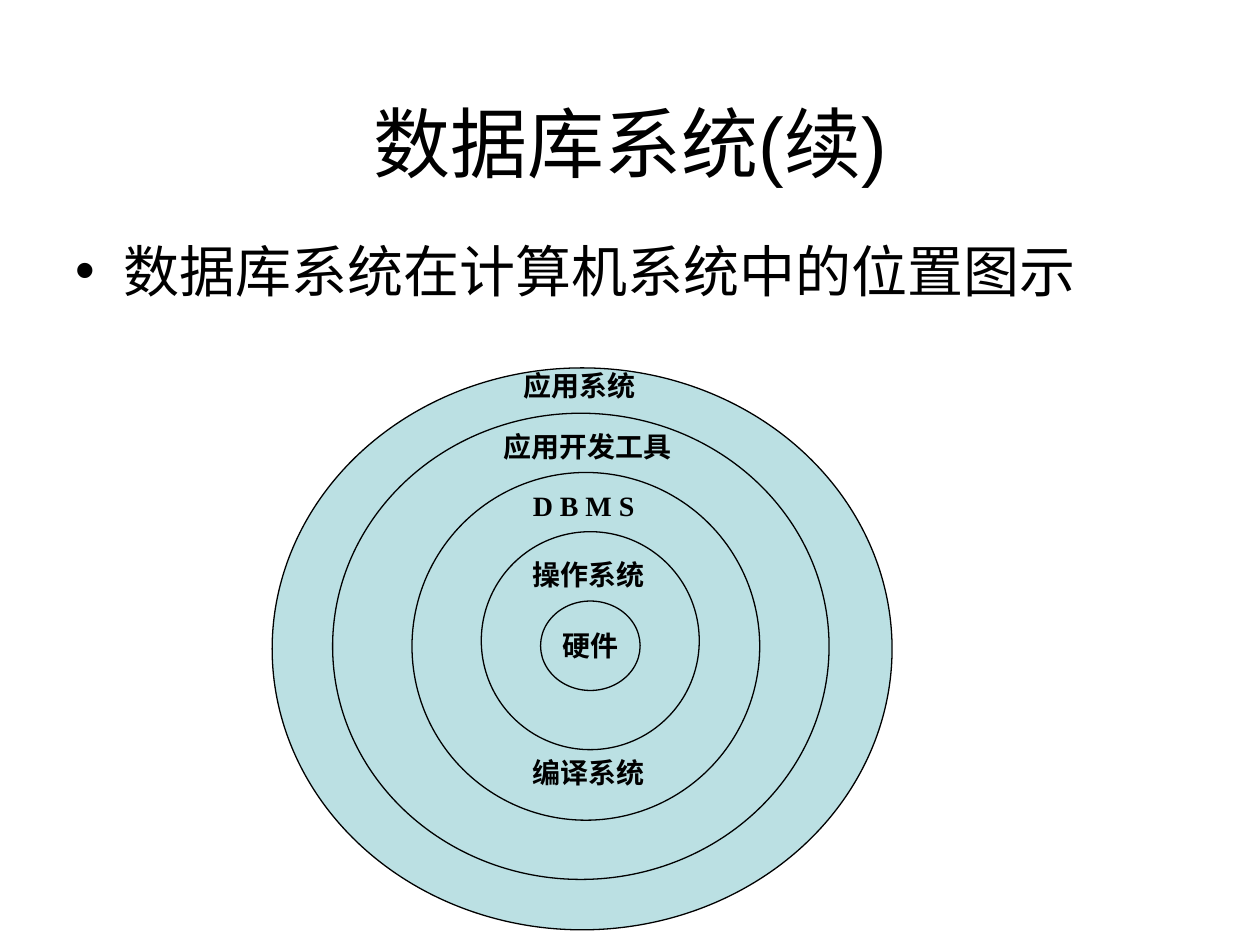
import dataclasses

import pptx
import pptx.dml.color
import pptx.enum.shapes
import pptx.enum.text
import pptx.oxml.ns
import pptx.util
from lxml import etree

COLS, ROWS = 100, 75
WIDE, HIGH = pptx.util.Inches(10), pptx.util.Inches(7.5)
HUES = {"ink": "000000", "ring": "BBE0E3"}
ALIGN = pptx.enum.text.PP_ALIGN
ANCHOR = pptx.enum.text.MSO_ANCHOR
FIT = pptx.enum.text.MSO_AUTO_SIZE


@dataclasses.dataclass(frozen=True)
class Area:
    """A place on the grid, in columns and rows."""
    col: float
    row: float
    cols: float
    rows: float

    def box(self) -> tuple[int, int, int, int]:
        return (round(self.col * WIDE / COLS), round(self.row * HIGH / ROWS),
                round(self.cols * WIDE / COLS), round(self.rows * HIGH / ROWS))


@dataclasses.dataclass(frozen=True)
class Label:
    text: str
    area: Area


RINGS = [
    Area(21.6, 29.2, 49.2, 44.6),
    Area(26.4, 32.8, 39.4, 37),
    Area(32.7, 37.5, 27.6, 27.6),
    Area(38.2, 42.2, 17.3, 17.3),
    Area(42.9, 47.7, 7.9, 7.1),
]
LABELS = [
    Label("应用系统", Area(40.6, 28.8, 11, 3.7)),
    Label("应用开发工具", Area(39, 33.6, 17.3, 3.7)),
    Label("D B M S", Area(41.3, 38.3, 11.8, 3.7)),
    Label("操作系统", Area(41.3, 43.8, 11.8, 3.7)),
    Label("编译系统", Area(41.3, 59.5, 11.8, 3.7)),
]


def tint(name: str) -> pptx.dml.color.RGBColor:
    return pptx.dml.color.RGBColor.from_string(HUES[name])


def write(shape, text: str, size: int, face: str, bold: bool, align, anchor):
    """Fill the first paragraph of a shape and return it."""
    frame = shape.text_frame
    frame.vertical_anchor = anchor
    para = frame.paragraphs[0]
    para.alignment = align
    para.space_before = pptx.util.Pt(0)
    run = para.add_run()
    run.text = text
    run.font.size = pptx.util.Pt(size)
    run.font.name = face
    run.font.bold = bold
    run.font.color.rgb = tint("ink")
    return para


def mark(shape, text: str, align, anchor) -> None:
    """Write the small bold text of the diagram."""
    write(shape, text, 16, "Times New Roman", True, align, anchor)


def head(shape, area: Area, text: str, size: int, align, anchor):
    """Move a placeholder and write its text."""
    shape.left, shape.top, shape.width, shape.height = area.box()
    shape.text_frame.auto_size = FIT.NONE
    return write(shape, text, size, "Arial", False, align, anchor)


def bullet(para) -> None:
    props = para._p.get_or_add_pPr()
    hang = pptx.util.Inches(0.38)
    props.set("marL", str(hang))
    props.set("indent", str(-hang))
    name = pptx.oxml.ns.qn
    hue = etree.SubElement(props, name("a:buClr"))
    etree.SubElement(hue, name("a:srgbClr"), val=HUES["ink"])
    etree.SubElement(props, name("a:buFont"), typeface="Arial")
    etree.SubElement(props, name("a:buChar"), char="•")


def ring(slide, area: Area):
    shape = slide.shapes.add_shape(
        pptx.enum.shapes.MSO_SHAPE.OVAL, *area.box())
    shape.shadow.inherit = False
    shape.fill.solid()
    shape.fill.fore_color.rgb = tint("ring")
    shape.line.color.rgb = tint("ink")
    shape.line.width = pptx.util.Pt(0.75)
    return shape


def tag(slide, label: Label) -> None:
    shape = slide.shapes.add_textbox(*label.area.box())
    shape.text_frame.word_wrap = True
    shape.text_frame.auto_size = FIT.SHAPE_TO_FIT_TEXT
    mark(shape, label.text, ALIGN.LEFT, ANCHOR.TOP)


def main() -> None:
    deck = pptx.Presentation()
    deck.slide_width, deck.slide_height = WIDE, HIGH
    slide = deck.slides.add_slide(deck.slide_layouts[1])
    title, body = slide.placeholders
    head(title, Area(5, 5, 90, 12.5), "数据库系统(续)", 44,
         ALIGN.CENTER, ANCHOR.MIDDLE)
    bullet(head(body, Area(5, 18.3, 90, 7.4),
                "数据库系统在计算机系统中的位置图示", 32,
                ALIGN.LEFT, ANCHOR.TOP))
    core = [ring(slide, area) for area in RINGS][-1]
    core.text_frame.word_wrap = False
    mark(core, "硬件", ALIGN.CENTER, ANCHOR.MIDDLE)
    for label in LABELS:
        tag(slide, label)
    deck.save("out.pptx")


if __name__ == "__main__":
    main()
